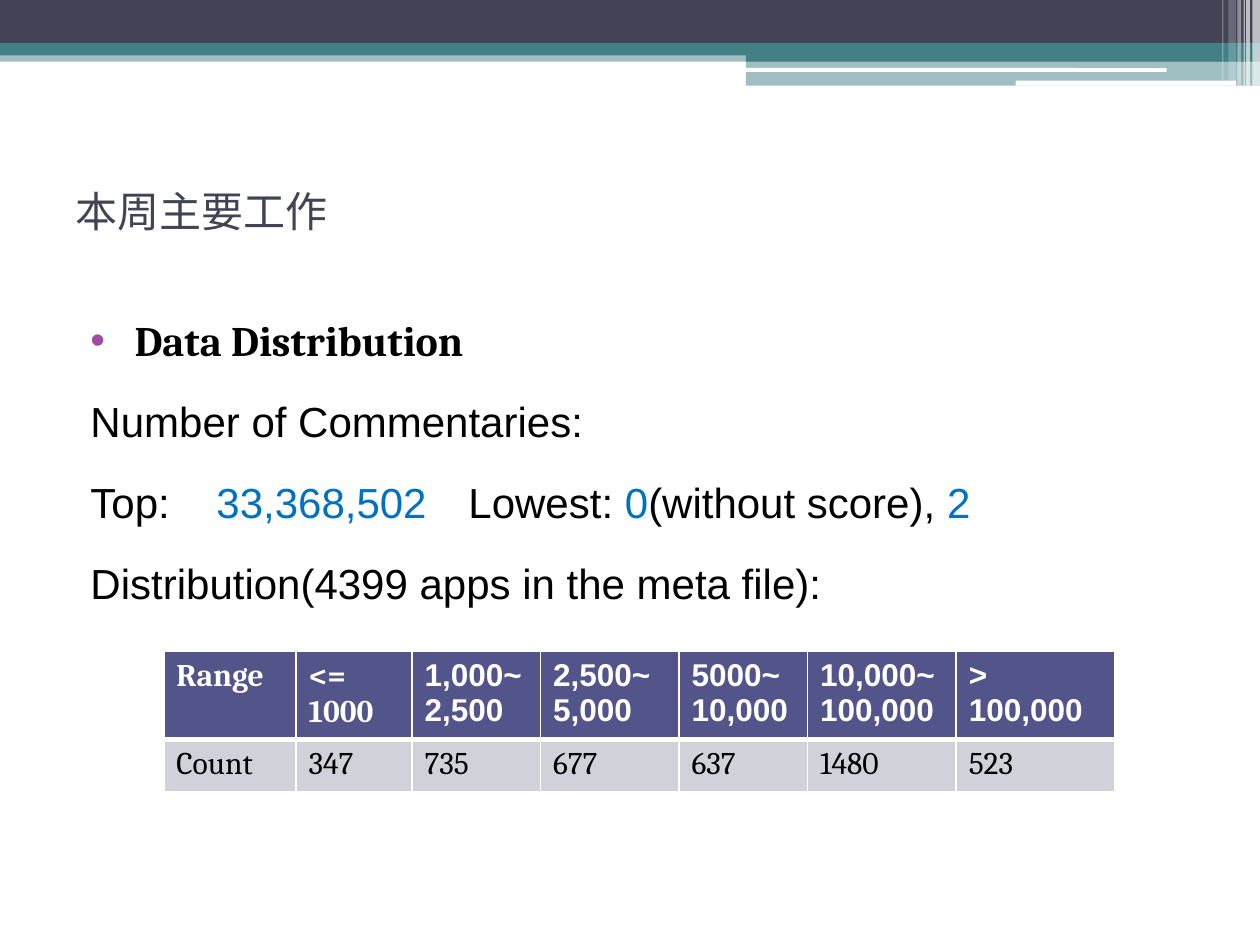
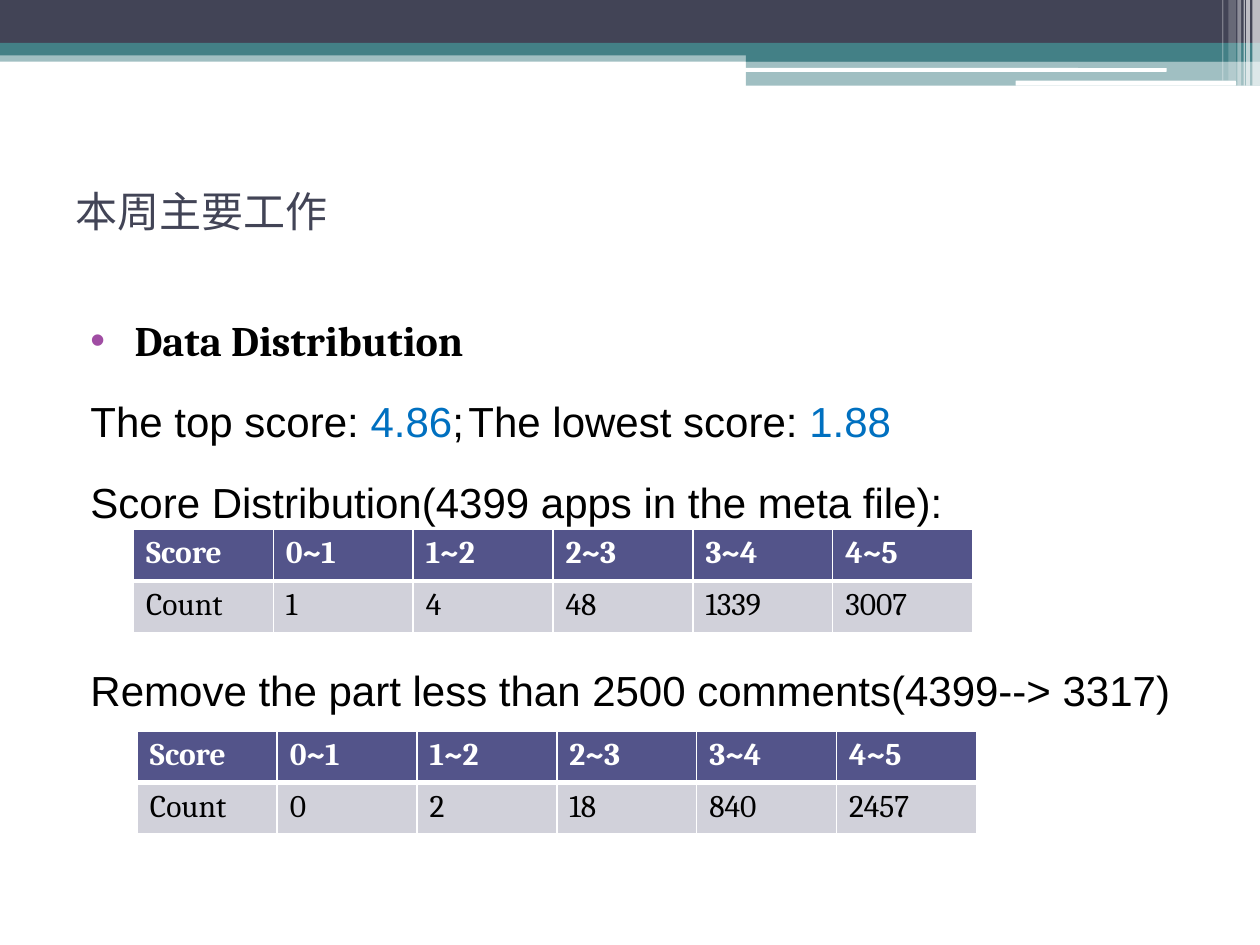
from pptx import Presentation
from pptx.dml.color import RGBColor
from pptx.enum.shapes import MSO_SHAPE as Shape
from pptx.enum.text import MSO_ANCHOR as Anchor
from pptx.oxml.ns import qn
from pptx.util import Inches, Pt
from lxml.etree import SubElement

NAVY = RGBColor(0x42, 0x44, 0x56)
TEAL = RGBColor(0x43, 0x80, 0x86)
WHITE = RGBColor(0xFF, 0xFF, 0xFF)
BLACK = RGBColor(0, 0, 0)
BLUE = RGBColor(0, 0x70, 0xC0)
PURPLE = RGBColor(0xA0, 0x4D, 0xA3)
HEADER_FILL = RGBColor(0x53, 0x54, 0x8A)
ROW_FILL = RGBColor(0xD1, 0xD1, 0xDA)

HEADING = "Data Distribution"
SCORES = ["Score", "0~1", "1~2", "2~3", "3~4", "4~5"]
SCORE_WIDTHS = [1.11] * len(SCORES)

BANDS = [
    (0, 0.4, 10, 0.09, TEAL, 50),
    (0, 0, 10, 0.34, NAVY, 100),
    (0, 0.34, 10, 0.1, TEAL, 100),
    (5.92, 0.39, 4.08, 0.1, TEAL, 100),
    (5.92, 0.48, 4.08, 0.2, TEAL, 50),
]
PILLS = [(5.91, 0.54, 3.35, 0.03, WHITE, 100), (8.06, 0.64, 1.75, 0.04, WHITE, 100)]
STRIPES = [
    (9.94, 0, 0.06, 0.68, WHITE, 65),
    (9.89, 0, 0.03, 0.68, WHITE, 65),
    (9.87, 0, 0.01, 0.68, WHITE, 60),
    (9.82, 0, 0.03, 0.68, WHITE, 40),
    (9.75, 0, 0.06, 0.64, WHITE, 20),
    (9.7, 0, 0.01, 0.64, WHITE, 30),
]


def add_band(slide, left, top, width, height, color, opacity, kind=Shape.RECTANGLE):
    band = slide.shapes.add_shape(kind, Inches(left), Inches(top), Inches(width), Inches(height))
    band.shadow.inherit = False
    band.line.fill.background()
    band.fill.solid()
    band.fill.fore_color.rgb = color
    if opacity < 100:
        tint = band.fill._xPr.find(qn("a:solidFill"))[0]
        SubElement(tint, qn("a:alpha"), val=str(opacity * 1000))


def add_run(paragraph, text, size=24, font="Arial", color=BLACK, bold=False):
    run = paragraph.add_run()
    run.text = text
    run.font.size = Pt(size)
    run.font.name = font
    run.font.color.rgb = color
    run.font.bold = bold


def add_frame(slide, top, height, anchor=Anchor.TOP):
    box = slide.shapes.add_textbox(Inches(0.5), Inches(top), Inches(9), Inches(height))
    frame = box.text_frame
    frame.word_wrap = True
    frame.vertical_anchor = anchor
    return frame


def format_line(paragraph, margin=0.12, indent=0, before=3, tabs=(), bullet=None):
    paragraph.line_spacing = 1.5
    paragraph.space_before = Pt(before)
    props = paragraph._p.get_or_add_pPr()
    props.set("marL", str(Inches(margin)))
    props.set("indent", str(Inches(indent)))
    if bullet:
        bullet_color = SubElement(props, qn("a:buClr"))
        SubElement(bullet_color, qn("a:srgbClr"), val=str(PURPLE))
        SubElement(props, qn("a:buFont"), typeface="Arial")
        SubElement(props, qn("a:buChar"), char=bullet)
    else:
        SubElement(props, qn("a:buNone"))
    if tabs:
        stops = SubElement(props, qn("a:tabLst"))
        for stop in tabs:
            SubElement(stops, qn("a:tab"), pos=str(Inches(stop)), algn="l")


def add_body(slide, lines):
    frame = add_frame(slide, 2.25, 4.73)
    heading = frame.paragraphs[0]
    format_line(heading, margin=0.47, indent=-0.35, bullet="•")
    add_run(heading, HEADING, font="Cambria", bold=True)
    for parts, layout in lines:
        line = frame.add_paragraph()
        format_line(line, **layout)
        for text, color in parts:
            add_run(line, text, color=color)


def set_borders(cell, bottom):
    props = cell._tc.get_or_add_tcPr()
    for side, width in (("L", 1), ("R", 1), ("T", 1), ("B", bottom)):
        edge = SubElement(props, qn(f"a:ln{side}"), w=str(Pt(width)))
        SubElement(SubElement(edge, qn("a:solidFill")), qn("a:srgbClr"), val=str(WHITE))


def fill_cell(cell, text, is_header, font):
    set_borders(cell, 3 if is_header else 1)
    cell.fill.solid()
    cell.fill.fore_color.rgb = HEADER_FILL if is_header else ROW_FILL
    cell.text = text
    for paragraph in cell.text_frame.paragraphs:
        label = paragraph.text
        paragraph.clear()
        add_run(paragraph, label, size=18, font=font,
                color=WHITE if is_header else BLACK, bold=is_header)


def add_counts(slide, left, top, widths, ranges, counts, header_height=0.41, arial_from=None):
    heights = [header_height, 0.41]
    table = slide.shapes.add_table(2, len(widths), Inches(left), Inches(top),
                                   Inches(sum(widths)), Inches(sum(heights))).table
    for column, width in zip(table.columns, widths):
        column.width = Inches(width)
    for row, height in zip(table.rows, heights):
        row.height = Inches(height)
    for index, (label, count) in enumerate(zip(ranges, counts)):
        use_arial = arial_from is not None and index >= arial_from
        fill_cell(table.cell(0, index), label, True, "Arial" if use_arial else "Cambria")
        fill_cell(table.cell(1, index), count, False, "Cambria")


def add_base_slide(deck):
    slide = deck.slides.add_slide(deck.slide_layouts[6])
    for band in BANDS:
        add_band(slide, *band)
    for pill in PILLS:
        add_band(slide, *pill, kind=Shape.ROUNDED_RECTANGLE)
    for stripe in STRIPES:
        add_band(slide, *stripe)
    title = add_frame(slide, 1.09, 1.17, Anchor.MIDDLE)
    add_run(title.paragraphs[0], "本周主要工作", font="Roboto", color=NAVY)
    return slide


def add_commentaries_slide(deck):
    slide = add_base_slide(deck)
    add_body(slide, [
        ([("Number of Commentaries:", BLACK)], {}),
        ([("Top:\t", BLACK), ("33,368,502", BLUE), ("\tLowest: ", BLACK), ("0", BLUE),
          ("(without score), ", BLACK), ("2", BLUE)], {"tabs": (0.94, 3.77)}),
        ([("Distribution(4399 apps in the meta file):", BLACK)], {}),
    ])
    add_counts(
        slide, 1.3, 5.17, [1.05, 0.92, 1.02, 1.1, 1.02, 1.18, 1.26],
        ["Range", "<=\n1000", "1,000~2,500", "2,500~\n5,000", "5000~10,000",
         "10,000~100,000", ">\n100,000"],
        ["Count", "347", "735", "677", "637", "1480", "523"],
        header_height=0.67, arial_from=2)


def add_scores_slide(deck):
    slide = add_base_slide(deck)
    add_body(slide, [
        ([("The top score: ", BLACK), ("4.86", BLUE), (";\tThe lowest score: ", BLACK),
          ("1.88", BLUE)], {"tabs": (3.46,)}),
        ([("Score Distribution(4399 apps in the meta file):", BLACK)], {}),
        ([("Remove the part less than 2500 comments(4399--> 3317)", BLACK)], {"before": 64}),
    ])
    add_counts(slide, 1.06, 4.2, SCORE_WIDTHS, SCORES, ["Count", "1", "4", "48", "1339", "3007"])
    add_counts(slide, 1.09, 5.8, SCORE_WIDTHS, SCORES, ["Count", "0", "2", "18", "840", "2457"])


def main():
    deck = Presentation()
    deck.slide_width = Inches(10)
    deck.slide_height = Inches(7.5)
    add_commentaries_slide(deck)
    add_scores_slide(deck)
    deck.save("out.pptx")


if __name__ == "__main__":
    main()
